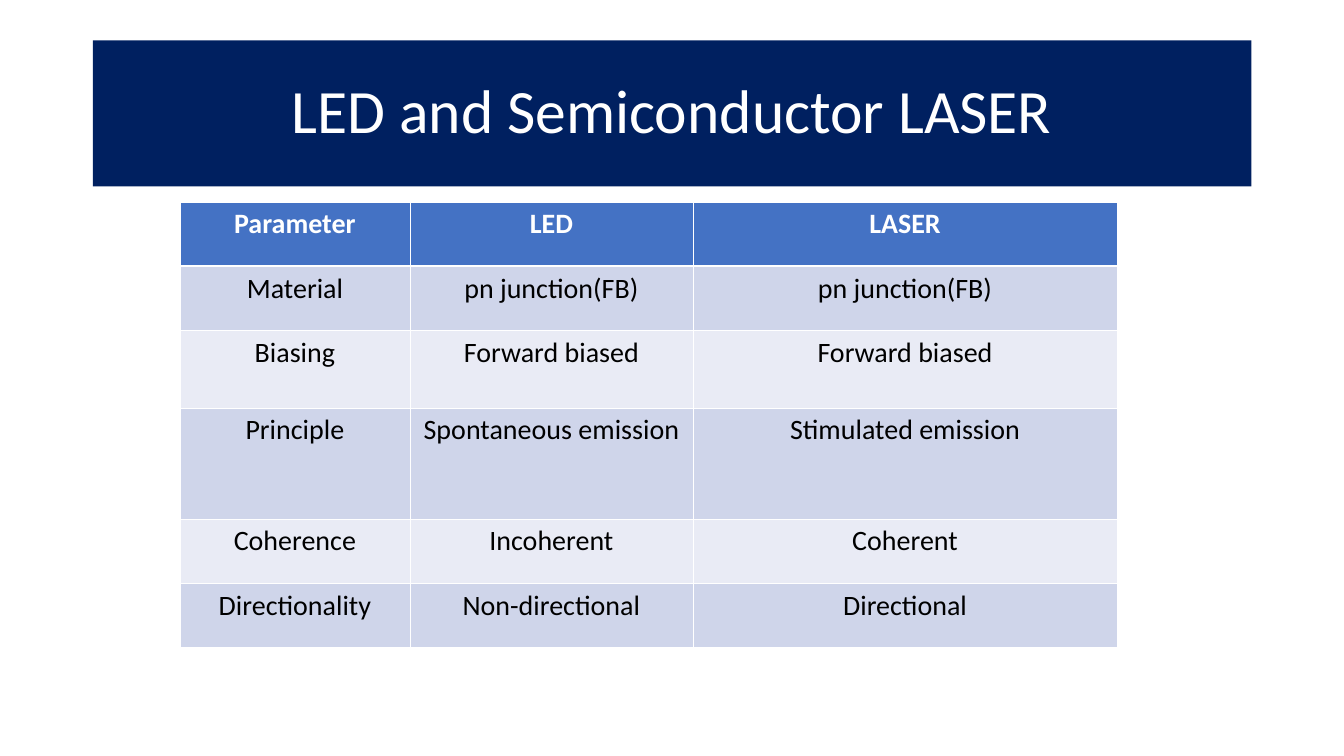
import pptx
import pptx.util
import pptx.dml.color
import pptx.enum.shapes
import pptx.enum.text
import pptx.oxml
import pptx.oxml.ns
from lxml import etree

Cm = pptx.util.Cm
Pt = pptx.util.Pt


def color(code):
    return pptx.dml.color.RGBColor.from_string(code)


def write(frame, text, ink, look):
    para = frame.paragraphs[0]
    para.alignment = pptx.enum.text.PP_ALIGN.CENTER
    run = para.add_run()
    run.text = text
    run.font.color.rgb = color(ink)
    for key, value in look.items():
        setattr(run.font, key, value)
    return para


# Slide
deck = pptx.Presentation()
deck.slide_width, deck.slide_height = Cm(33.88), Cm(19.05)
slide = deck.slides.add_slide(deck.slide_layouts[6])

# Title band
band = slide.shapes.add_shape(pptx.enum.shapes.MSO_SHAPE.RECTANGLE,
                              Cm(2.34), Cm(1.02), Cm(29.21), Cm(3.68))
band.shadow.inherit = False
band.fill.solid()
band.fill.fore_color.rgb = color("002060")
band.line.fill.background()
band.text_frame.word_wrap = True
band.text_frame.vertical_anchor = pptx.enum.text.MSO_ANCHOR.MIDDLE
title = write(band.text_frame, "LED and Semiconductor LASER", "FFFFFF",
              {"name": "Calibri", "size": Pt(44)})
title.line_spacing = 0.9

# Table contents and sizes
rows = [
    ("Parameter", "LED", "LASER"),
    ("Material", "pn junction(FB)", "pn junction(FB)"),
    ("Biasing", "Forward biased", "Forward biased"),
    ("Principle", "Spontaneous emission", "Stimulated emission"),
    ("Coherence", "Incoherent", "Coherent"),
    ("Directionality", "Non-directional", "Directional"),
]
widths = [5.79, 7.14, 10.69]
heights = [1.62, 1.62, 1.95, 2.8, 1.62, 1.62]
table = slide.shapes.add_table(len(rows), len(widths), Cm(4.54), Cm(5.09),
                               Cm(sum(widths)), Cm(sum(heights))).table
for col, width in zip(table.columns, widths):
    col.width = Cm(width)

# Cells: header row, then alternating bands
for r, (row, height) in enumerate(zip(rows, heights)):
    table.rows[r].height = Cm(height)
    head = r == 0
    fill = "4472C4" if head else ("E9EBF5", "CFD5EA")[r % 2]
    thick = {0: "b", 1: "t"}.get(r)
    for c, text in enumerate(row):
        cell = table.cell(r, c)
        props = cell._tc.get_or_add_tcPr()
        for side in "lrtb":
            line = etree.SubElement(
                props, pptx.oxml.ns.qn("a:ln" + side.upper()),
                w=str(Pt(1.47 if side == thick else 0.45)))
            solid = etree.SubElement(line, pptx.oxml.ns.qn("a:solidFill"))
            etree.SubElement(solid, pptx.oxml.ns.qn("a:srgbClr"), val="FFFFFF")
        cell.fill.solid()
        cell.fill.fore_color.rgb = color(fill)
        write(cell.text_frame, text, "FFFFFF" if head else "000000",
              {"name": "Calibri", "size": Pt(20), "bold": head})

deck.save("out.pptx")
